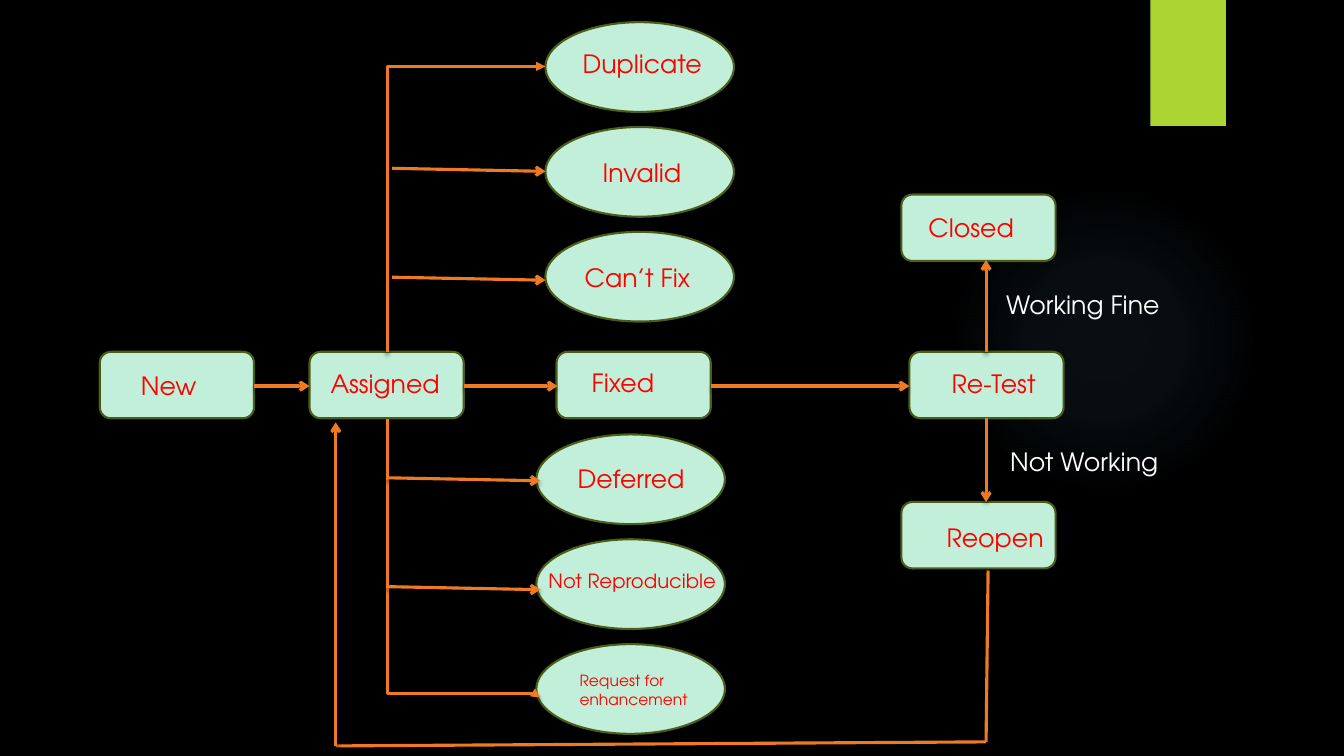
import lxml.etree
import pptx
import pptx.dml.color
import pptx.enum.shapes
import pptx.enum.text
import pptx.oxml
import pptx.oxml.ns
import pptx.util

Inches = pptx.util.Inches
RGBColor = pptx.dml.color.RGBColor
Shapes = pptx.enum.shapes.MSO_SHAPE
Connectors = pptx.enum.shapes.MSO_CONNECTOR

BLACK = RGBColor(0x00, 0x00, 0x00)
WHITE = RGBColor(0xFF, 0xFF, 0xFF)
RED = RGBColor(0xFF, 0x00, 0x00)
MINT = RGBColor(0xC1, 0xEF, 0xD9)
OLIVE = RGBColor(0x4B, 0x5D, 0x16)
ORANGE = RGBColor(0xEF, 0x7A, 0x24)
LIME = RGBColor(0xAC, 0xD4, 0x33)
GLOW = RGBColor(0x7A, 0xC4, 0xF0)

FONT = "TeX Gyre Adventor"
NAMESPACE = pptx.oxml.ns.nsdecls("a")
BOX = (1.53, 0.66)
OVAL = (1.87, 0.89)
OVAL_STEP = 1.04
ROW_TOP = 3.49
ROW_MIDDLE = 3.83
TRUNK = 3.84
RETEST_AXIS = 9.78

# label, left, top, label left, label top
STATES = [
    ("New", 0.99, ROW_TOP, 1.3, 3.62),
    ("Assigned", 3.07, ROW_TOP, 3.18, 3.6),
    ("Fixed", 5.52, ROW_TOP, 5.77, 3.59),
    ("Re-Test", 9.02, ROW_TOP, 9.34, 3.61),
    ("Closed", 8.94, 1.93, 9.11, 2.06),
    ("Reopen", 8.94, 4.98, 9.29, 5.13),
]
# label, label left, label top, label width, label height, size
UPPER_OUTCOMES = [
    ("Duplicate", 5.68, 0.43, 1.44, 0.4, 18),
    ("Invalid", 5.88, 1.51, 1.44, 0.4, 18),
    ("Can’t Fix", 5.7, 2.55, 1.44, 0.4, 18),
]
LOWER_OUTCOMES = [
    ("Deferred", 5.63, 4.55, 1.44, 0.4, 18),
    ("Not Reproducible", 5.34, 5.59, 2.13, 0.34, 14),
    ("Request for enhancement", 5.65, 6.61, 1.44, 0.47, 11),
]


def add_shadow(shape):
    shape._element.spPr.append(pptx.oxml.parse_xml(
        f'<a:effectLst {NAMESPACE}><a:outerShdw blurRad="38100" dist="25400" dir="5400000" '
        'rotWithShape="0"><a:srgbClr val="000000"><a:alpha val="45000"/></a:srgbClr>'
        '</a:outerShdw></a:effectLst>'))


def add_plain_shape(slide, kind, left, top, width, height, fill):
    shape = slide.shapes.add_shape(
        kind, Inches(left), Inches(top), Inches(width), Inches(height))
    shape.shadow.inherit = False
    shape.fill.solid()
    shape.fill.fore_color.rgb = fill
    shape.line.fill.background()
    return shape


def add_node(slide, kind, left, top, width, height):
    node = add_plain_shape(slide, kind, left, top, width, height, MINT)
    node.line.color.rgb = OLIVE
    node.line.width = pptx.util.Pt(1.5)


def add_label(slide, text, left, top, width=1.44, height=0.4, size=18, color=RED):
    box = slide.shapes.add_textbox(Inches(left), Inches(top), Inches(width), Inches(height))
    frame = box.text_frame
    frame.word_wrap = True
    frame.auto_size = pptx.enum.text.MSO_AUTO_SIZE.SHAPE_TO_FIT_TEXT
    run = frame.paragraphs[0].add_run()
    run.text = text
    for name, value in {"name": FONT, "size": pptx.util.Pt(size)}.items():
        setattr(run.font, name, value)
    run.font.color.rgb = color


def add_line(slide, start, end, head="arrow", kind=Connectors.STRAIGHT):
    connector = slide.shapes.add_connector(
        kind, *(Inches(value) for value in (*start, *end)))
    connector.line.color.rgb = ORANGE
    connector.line.width = pptx.util.Pt(2.25)
    if head:
        tail = lxml.etree.SubElement(
            connector.line._get_or_add_ln(), pptx.oxml.ns.qn("a:tailEnd"))
        tail.set("type", head)
    add_shadow(connector)
    return connector


def add_elbow(slide, start, end, preset, bend=None):
    """Leave start vertically and turn right towards end, by rotating a flipped elbow."""
    middle_x, middle_y = (start[0] + end[0]) / 2, (start[1] + end[1]) / 2
    half_width, half_height = abs(end[1] - start[1]) / 2, (end[0] - start[0]) / 2
    upward = end[1] < start[1]
    rise = half_height if upward else -half_height
    connector = add_line(slide, (middle_x + half_width, middle_y + rise),
                         (middle_x - half_width, middle_y - rise),
                         "triangle", Connectors.ELBOW)
    properties = connector._element.spPr
    properties.find(pptx.oxml.ns.qn("a:xfrm")).set("rot", "5400000" if upward else "16200000")
    geometry = properties.find(pptx.oxml.ns.qn("a:prstGeom"))
    geometry.set("prst", preset)
    if bend:
        adjustments = geometry.find(pptx.oxml.ns.qn("a:avLst"))
        guide = lxml.etree.SubElement(adjustments, pptx.oxml.ns.qn("a:gd"))
        guide.set("name", "adj1")
        guide.set("fmla", f"val {round(bend * 100000)}")


def add_backdrop(slide):
    slide.background.fill.solid()
    slide.background.fill.fore_color.rgb = BLACK
    glow = add_plain_shape(slide, Shapes.OVAL, 9.41, 1.83, 3.08, 3.08, GLOW)
    stops = "".join(
        f'<a:gs pos="{position}000"><a:srgbClr val="{GLOW}"><a:alpha val="{alpha}000"/>'
        '</a:srgbClr></a:gs>' for position, alpha in ((0, 7), (36, 6), (69, 0)))
    properties = glow._element.spPr
    properties.replace(
        properties.find(pptx.oxml.ns.qn("a:solidFill")),
        pptx.oxml.parse_xml(
            f'<a:gradFill {NAMESPACE}><a:gsLst>{stops}</a:gsLst><a:path path="circle">'
            '<a:fillToRect l="50000" t="50000" r="50000" b="50000"/></a:path></a:gradFill>'))
    tab = add_plain_shape(slide, Shapes.RECTANGLE, 11.41, 0, 0.75, 1.25, LIME)
    properties = tab._element.spPr
    properties.remove(properties.find(pptx.oxml.ns.qn("a:effectLst")))
    add_shadow(tab)


def add_states(slide):
    for text, left, top, label_left, label_top in STATES:
        add_node(slide, Shapes.ROUNDED_RECTANGLE, left, top, *BOX)
        add_label(slide, text, label_left, label_top)


def add_outcomes(slide, outcomes, left, top):
    for index, (text, *label) in enumerate(outcomes):
        add_node(slide, Shapes.OVAL, left, top + index * OVAL_STEP, *OVAL)
        add_label(slide, text, *label)


def add_main_flow(slide):
    for start, end in ((2.52, 3.07), (4.6, 5.53), (7.05, 9.02)):
        add_line(slide, (start, ROW_MIDDLE), (end, ROW_MIDDLE))
    for start, end in ((ROW_TOP, 2.58), (4.15, 4.98)):
        add_line(slide, (RETEST_AXIS, start), (RETEST_AXIS, end))
    for text, left, top in (("Working Fine", 9.88, 2.82), ("Not Working", 9.92, 4.38)):
        add_label(slide, text, left, top, width=2.34, color=WHITE)


def add_branches(slide):
    add_elbow(slide, (TRUNK, ROW_TOP), (5.41, 0.66), "bentConnector2")
    add_elbow(slide, (TRUNK, 4.16), (5.36, 6.92), "bentConnector3", bend=0.987)
    for left, right, top in ((3.89, 5.41, 1.67), (3.89, 5.41, 2.75),
                             (3.83, 5.36, 4.74), (3.83, 5.36, 5.82)):
        add_line(slide, (left, top), (right, top + 0.03))


def add_reopen_loop(slide):
    corner_left, corner_right = (3.33, 7.4), (RETEST_AXIS, 7.36)
    add_line(slide, (9.8, 5.66), corner_right, head=None)
    add_line(slide, corner_left, corner_right, head=None)
    add_line(slide, corner_left, (3.33, 4.19))


def main():
    presentation = pptx.Presentation()
    presentation.slide_width = Inches(13.33)
    presentation.slide_height = Inches(7.5)
    slide = presentation.slides.add_slide(presentation.slide_layouts[6])
    add_backdrop(slide)
    add_states(slide)
    add_outcomes(slide, UPPER_OUTCOMES, 5.41, 0.22)
    add_outcomes(slide, LOWER_OUTCOMES, 5.32, 4.31)
    add_main_flow(slide)
    add_branches(slide)
    add_reopen_loop(slide)
    presentation.save("out.pptx")


if __name__ == "__main__":
    main()
